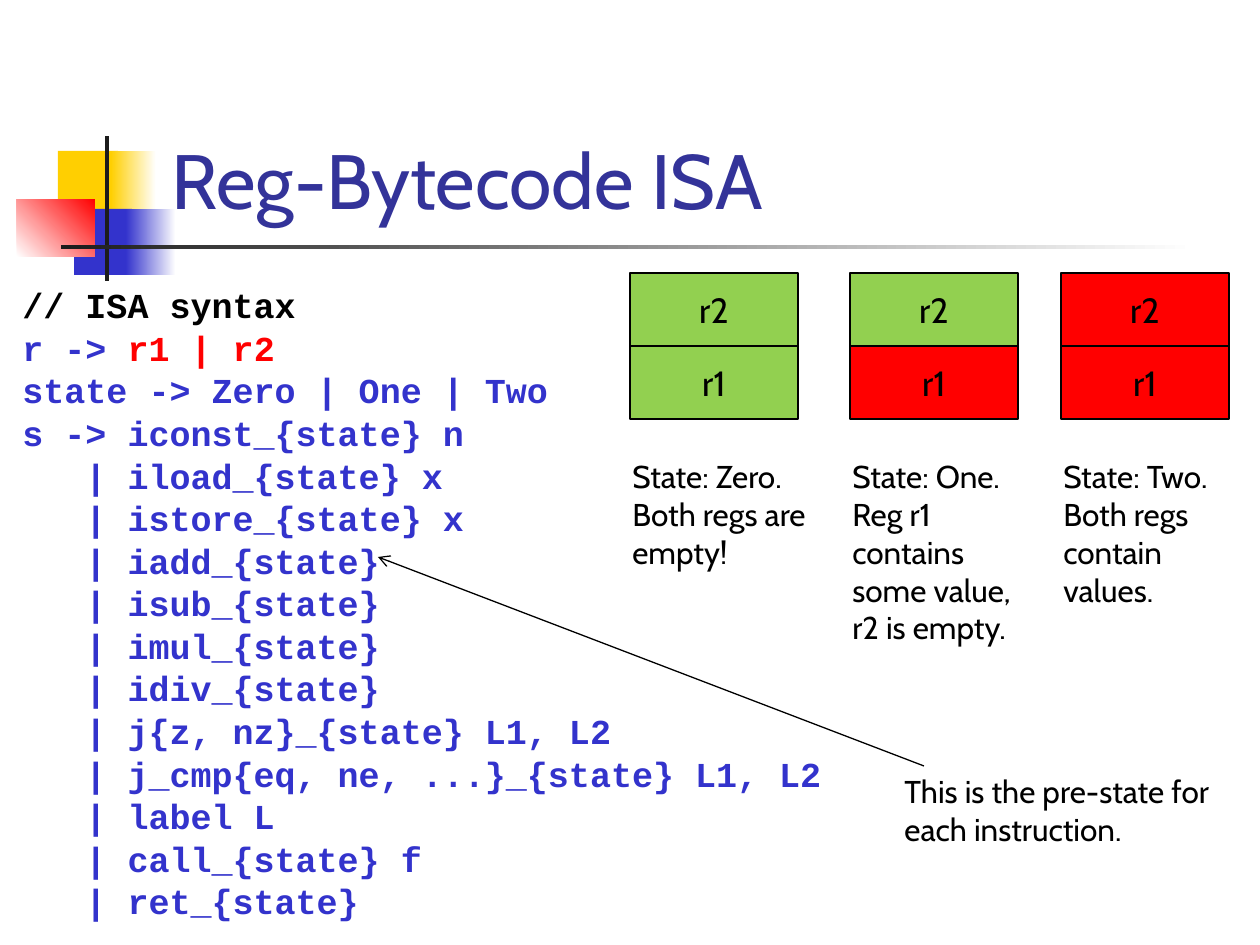
import pptx
import pptx.dml.color
import pptx.enum.shapes
import pptx.enum.text
import pptx.oxml
import pptx.oxml.ns
import pptx.util

PX = 7257  # EMU per px, at 126 px to the inch

THEME = {
    "yellow": "FFCF01", "blue": "3333CC", "red": "FF0000", "white": "FFFFFF",
    "charcoal": "1C1C1C", "title": "333399", "black": "000000", "green": "92D050",
    "font": "Cabin", "code_font": "Courier New",
    "title_size": 44, "register_size": 20, "code_size": 20, "caption_size": 18,
}


def rgb(name):
    return pptx.dml.color.RGBColor.from_string(THEME[name])


def add_box(box, paragraphs, size, color="black", font="font", fill=None):
    """Add a text box, or a rectangle if fill is given.

    Each paragraph is a list of (text, color) runs or one string. A fill of
    two colour names and an angle makes a gradient.
    """
    place = [length * PX for length in box]
    if fill is None:
        shape = slide.shapes.add_textbox(*place)
    else:
        shape = slide.shapes.add_shape(pptx.enum.shapes.MSO_SHAPE.RECTANGLE, *place)
        shape.shadow.inherit = False
        shape.line.fill.background()
        if isinstance(fill, str):
            shape.fill.solid()
            shape.fill.fore_color.rgb = rgb(fill)
        else:
            start, end, angle = fill
            shape.fill.gradient()
            shape.fill.gradient_angle = angle
            for stop, name, position in zip(shape.fill.gradient_stops, (start, end), (0, 1)):
                stop.color.rgb = rgb(name)
                stop.position = position
    frame = shape.text_frame
    frame.word_wrap = fill is None
    for index, runs in enumerate(paragraphs):
        paragraph = frame.add_paragraph() if index else frame.paragraphs[0]
        paragraph.font.name = THEME[font]
        paragraph.font.size = pptx.util.Pt(THEME[size])
        if isinstance(runs, str):
            runs = [(runs, color)]
        for text, run_color in runs:
            run = paragraph.add_run()
            run.text = text
            run.font.color.rgb = rgb(run_color)
    return shape


deck = pptx.Presentation()
deck.slide_width, deck.slide_height = 1260 * PX, 945 * PX
slide = deck.slides.add_slide(deck.slide_layouts[6])

# Coloured blocks and rules beside the title
ornaments = [
    ((58, 151, 60, 66), "yellow"),
    ((111, 151, 45, 66), ("yellow", "white", 0)),
    ((74, 209, 58, 66), "blue"),
    ((126, 209, 50, 66), ("blue", "white", 0)),
    ((17, 199, 78, 58), ("white", "red", 45)),
    ((105, 136, 4, 145), "charcoal"),
    ((61, 245, 1134, 4), ("charcoal", "white", 0)),
]
for box, fill in ornaments:
    add_box(box, [], "caption_size", fill=fill)

title = add_box((159, 29, 1074, 202), ["Reg-Bytecode ISA"], "title_size", "title")
title.text_frame.vertical_anchor = pptx.enum.text.MSO_ANCHOR.BOTTOM

# Grammar of the instruction set
instructions = [
    "iload_{state} x", "istore_{state} x", "iadd_{state}", "isub_{state}",
    "imul_{state}", "idiv_{state}", "j{z, nz}_{state} L1, L2",
    "j_cmp{eq, ne, ...}_{state} L1, L2", "label L", "call_{state} f", "ret_{state}",
]
grammar_lines = [
    [("// ISA syntax", "black")],
    [("r -> ", "blue"), ("r1 | r2", "red")],
    "state -> Zero | One | Two",
    "s -> iconst_{state} n",
] + ["   | " + instruction for instruction in instructions]
grammar = add_box((10, 278, 829, 567), grammar_lines, "code_size", "blue", "code_font")
grammar.text_frame.margin_top = 14 * PX
for index, paragraph in enumerate(grammar.text_frame.paragraphs):
    paragraph.font.bold = True
    paragraph.line_spacing = 0.8
    paragraph.space_before = pptx.util.Pt(5.1 if index else 0)
    properties = paragraph._p.get_or_add_pPr()
    properties.set("marL", str(48 * PX))
    properties.set("indent", str(-48 * PX))

# Register stacks, one for each state
CELL_WIDTH, CELL_HEIGHT, STACK_TOP = 168, 73, 273
states = [
    (630, "green", "green", ["State: Zero.", "Both regs are empty!"]),
    (850, "green", "red", ["State: One.", "Reg r1 contains some value, r2 is empty."]),
    (1061, "red", "red", ["State: Two.", "Both regs contain values."]),
]
for left, r2_fill, r1_fill, caption in states:
    for row, (register, fill) in enumerate([("r2", r2_fill), ("r1", r1_fill)]):
        cell = add_box((left, STACK_TOP + row * CELL_HEIGHT, CELL_WIDTH, CELL_HEIGHT),
                       [register], "register_size", fill=fill)
        cell.line.color.rgb = rgb("black")
        cell.line.width = pptx.util.Pt(0.75)
        cell.text_frame.vertical_anchor = pptx.enum.text.MSO_ANCHOR.MIDDLE
        cell.text_frame.paragraphs[0].alignment = pptx.enum.text.PP_ALIGN.CENTER
    add_box((left - 10, 451, 199, 165), caption, "caption_size")

# Note on the pre-state, with its arrow
add_box((892, 766, 336, 89), ["This is the pre-state for each instruction."], "caption_size")
arrow = slide.shapes.add_connector(
    pptx.enum.shapes.MSO_CONNECTOR.STRAIGHT, 924 * PX, 766 * PX, 378 * PX, 557 * PX)
arrow.line.color.rgb = rgb("black")
arrow.line.width = pptx.util.Pt(0.75)
head = pptx.oxml.parse_xml(
    f'<a:tailEnd {pptx.oxml.ns.nsdecls("a")} type="arrow"/>')
arrow.line._get_or_add_ln().append(head)
arrow._element.spPr.append(
    pptx.oxml.parse_xml(f'<a:effectLst {pptx.oxml.ns.nsdecls("a")}/>'))

deck.save("out.pptx")
